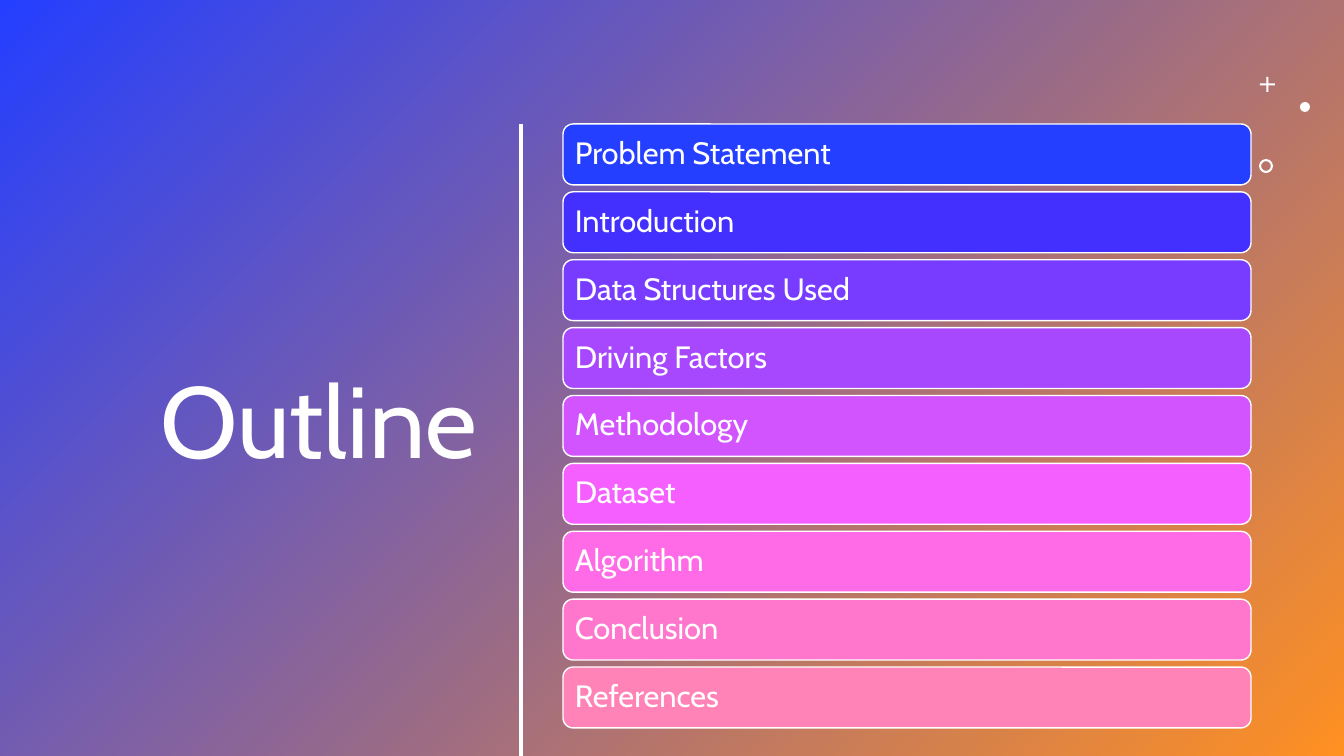
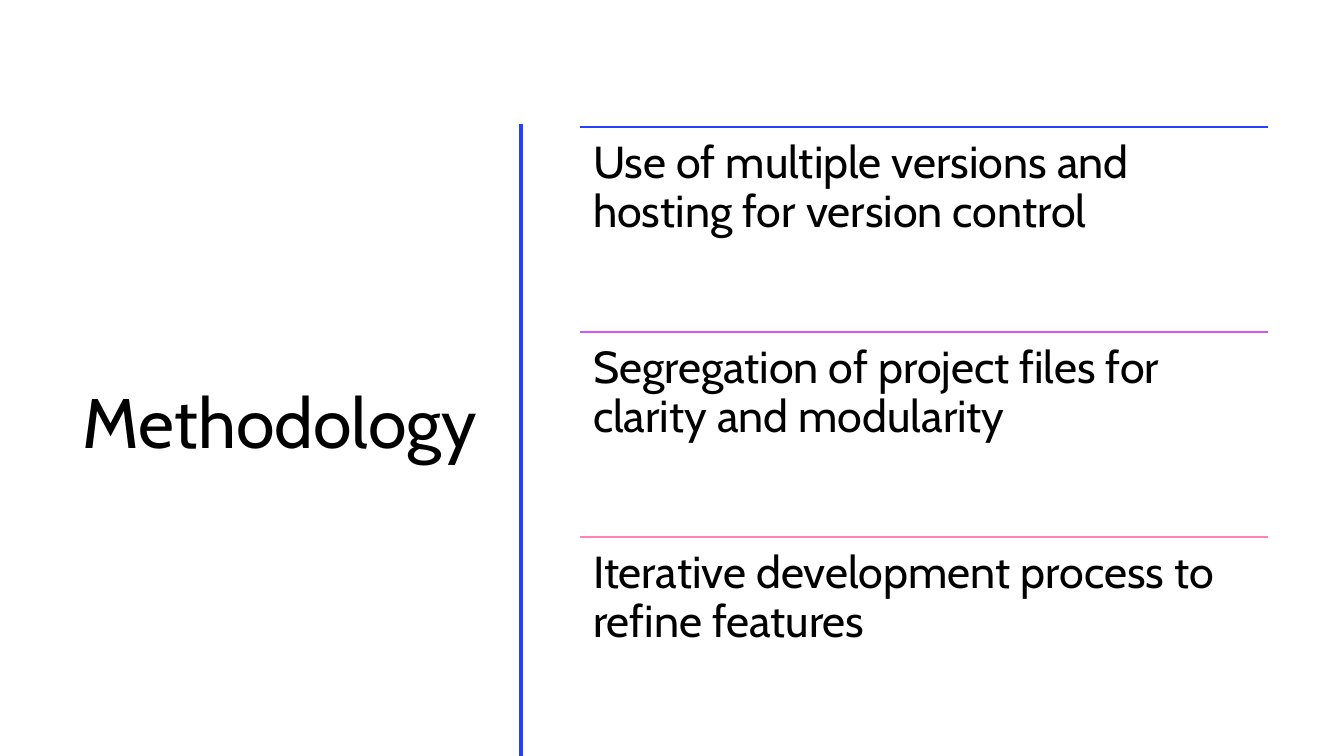
from lxml import etree
from pptx import Presentation, util as u
from pptx.dml.color import RGBColor
from pptx.enum import shapes, text
from pptx.oxml import ns

SCALE = 12192000 / 1344
WIDTH, HEIGHT = 1344, 756
FONT = "Cabin"
WHITE, BLACK, BLUE, ORANGE = "FFFFFF", "000000", "243FFF", "FF9022"
VIOLET, PINK = "D154FF", "FF83B6"
TITLE_BOX = (53, 118, 434, 616)
OUTLINE_BOX = (563, 124, 688, 604)
STEPS_BOX = (580, 127, 688, 615)
OUTLINE = [
    ("Problem Statement", BLUE),
    ("Introduction", "4330FF"),
    ("Data Structures Used", "773CFF"),
    ("Driving Factors", "A748FF"),
    ("Methodology", VIOLET),
    ("Dataset", "F65FFF"),
    ("Algorithm", "FF6BE7"),
    ("Conclusion", "FF77CC"),
    ("References", PINK),
]
STEPS = [
    ("Use of multiple versions and hosting for version control", BLUE),
    ("Segregation of project files for clarity and modularity", VIOLET),
    ("Iterative development process to refine features", PINK),
]


def px(value):
    return u.Emu(round(value * SCALE))


def box_px(box):
    return [px(value) for value in box]


def color(hex_string):
    return RGBColor.from_string(hex_string)


def apply(target, values):
    for name, value in values.items():
        setattr(target, name, value)


def write(shape, words, size, hex_string, inset, anchor, align=text.PP_ALIGN.LEFT):
    frame = shape.text_frame
    margins = {f"margin_{side}": px(inset) for side in ("left", "top", "right", "bottom")}
    apply(frame, {"word_wrap": True, "vertical_anchor": anchor, **margins})
    paragraph = frame.paragraphs[0]
    apply(paragraph, {"text": words, "alignment": align, "line_spacing": 0.9})
    apply(paragraph.font, {"name": FONT, "size": u.Pt(size)})
    paragraph.font.color.rgb = color(hex_string)


def add_shape(slide, kind, box, fill, line=None):
    shape = slide.shapes.add_shape(kind, *box_px(box))
    shape.shadow.inherit = False
    shape.fill.solid()
    shape.fill.fore_color.rgb = color(fill)
    if line:
        shape.line.color.rgb = color(line)
        shape.line.width = u.Pt(1)
    else:
        shape.line.fill.background()
    return shape


def add_line(slide, start, end, hex_string, weight):
    line = slide.shapes.add_connector(
        shapes.MSO_CONNECTOR.STRAIGHT, *box_px(start + end))
    line.line.color.rgb = color(hex_string)
    line.line.width = u.Pt(weight)
    etree.SubElement(line._element.spPr, ns.qn("a:effectLst"))


def add_title(slide, words, size, text_color, rule_color):
    title = slide.shapes.add_textbox(*box_px(TITLE_BOX))
    write(title, words, size, text_color, 10, text.MSO_ANCHOR.MIDDLE, text.PP_ALIGN.RIGHT)
    add_line(slide, (521, 124), (521, HEIGHT), rule_color, 2.25)


def add_backdrop(slide):
    backdrop = add_shape(slide, shapes.MSO_SHAPE.RECTANGLE, (0, 0, WIDTH, HEIGHT), BLUE)
    backdrop.fill.gradient()
    backdrop.fill.gradient_angle = 315
    for stop, hex_string, position in zip(backdrop.fill.gradient_stops, (BLUE, ORANGE), (0, 1)):
        stop.color.rgb = color(hex_string)
        stop.position = position


def add_ornaments(slide, left, top):
    plus = add_shape(slide, shapes.MSO_SHAPE.CROSS, (left + 1, top, 15, 15), WHITE)
    plus.adjustments[0] = 0.43
    add_shape(slide, shapes.MSO_SHAPE.OVAL, (left + 41, top + 25, 10, 10), WHITE)
    ring = add_shape(slide, shapes.MSO_SHAPE.DONUT, (left, top + 82, 14, 14), WHITE)
    ring.adjustments[0] = 0.15


def add_outline_bars(slide, box, items):
    left, top, width, height = box
    gap = 7
    bar_height = (height - gap * (len(items) - 1)) / len(items)
    for index, (words, fill) in enumerate(items):
        bar_top = top + index * (bar_height + gap)
        bar = add_shape(slide, shapes.MSO_SHAPE.ROUNDED_RECTANGLE,
                        (left, bar_top, width, bar_height), fill, WHITE)
        write(bar, words, 22, WHITE, 9, text.MSO_ANCHOR.MIDDLE)


def add_ruled_steps(slide, box, items):
    left, top, width, height = box
    step_height = height / len(items)
    for index, (words, rule_color) in enumerate(items):
        step_top = top + index * step_height
        add_line(slide, (left, step_top), (left + width, step_top), rule_color, 1)
        step = slide.shapes.add_textbox(*box_px((left, step_top, width, step_height)))
        write(step, words, 32, BLACK, 13, text.MSO_ANCHOR.TOP)


def outline_slide(slide):
    add_backdrop(slide)
    add_title(slide, "Outline", 72, WHITE, WHITE)
    add_ornaments(slide, 1259, 77)
    add_outline_bars(slide, OUTLINE_BOX, OUTLINE)


def methodology_slide(slide):
    add_title(slide, "Methodology", 50, BLACK, BLUE)
    add_ruled_steps(slide, STEPS_BOX, STEPS)


def main():
    presentation = Presentation()
    apply(presentation, {"slide_width": px(WIDTH), "slide_height": px(HEIGHT)})
    for build in (outline_slide, methodology_slide):
        build(presentation.slides.add_slide(presentation.slide_layouts[6]))
    presentation.save("out.pptx")


if __name__ == "__main__":
    main()
